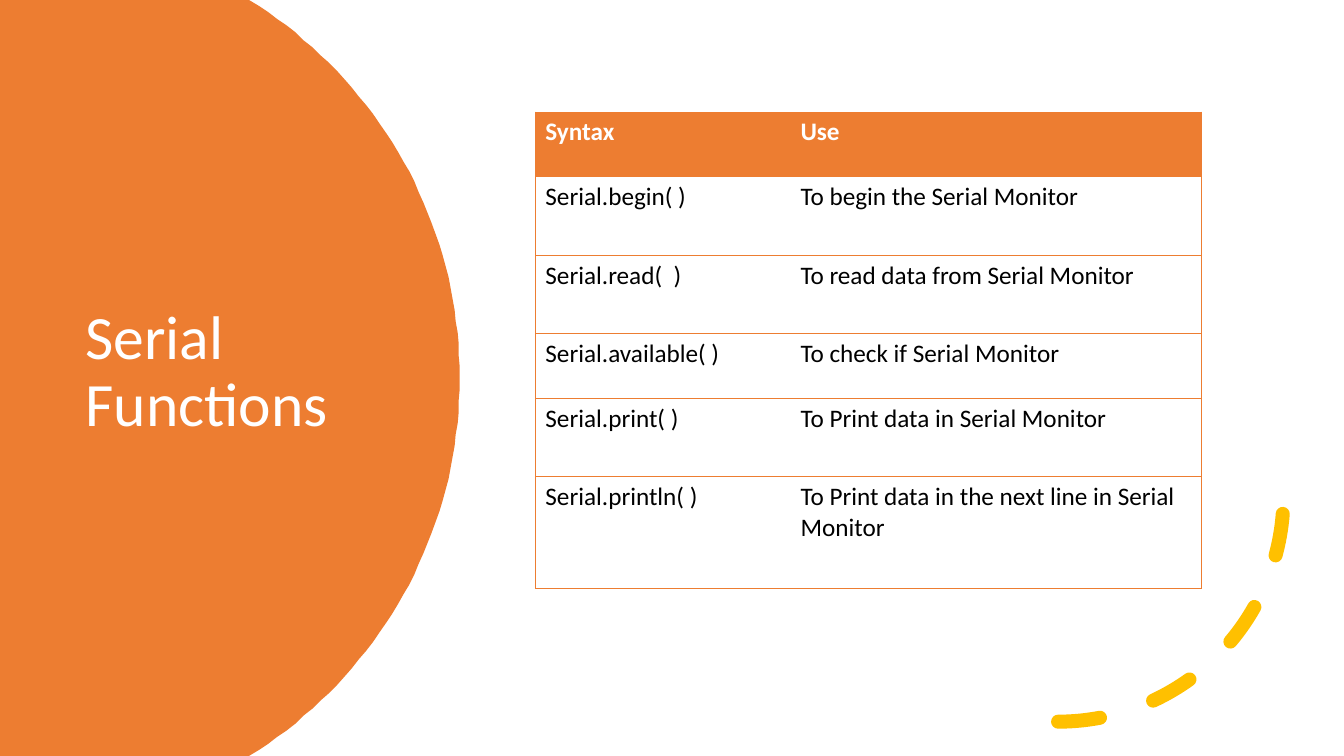
from math import asin, cos, sin

from lxml import etree
from pptx import Presentation
from pptx.dml.color import RGBColor
from pptx.enum.dml import MSO_LINE
from pptx.enum.shapes import MSO_SHAPE
from pptx.enum.text import MSO_ANCHOR
from pptx.oxml.ns import qn
from pptx.util import Pt

PX = 9144  # 100 px to the inch
ARC = MSO_SHAPE.ARC
DASH = MSO_LINE.DASH
MIDDLE = MSO_ANCHOR.MIDDLE
ORANGE, YELLOW, WHITE, BLACK = "ED7D31", "FFC000", "FFFFFF", "000000"
PLAIN_TABLE_STYLE = "{2D5ABB26-0587-4C30-8999-92F81FD0307C}"


def color(hex_code):
    return RGBColor.from_string(hex_code)


def write_text(text_frame, text, hex_code, **font_format):
    paragraph = text_frame.paragraphs[0]
    run = paragraph.add_run()
    run.text = text
    run.font.color.rgb = color(hex_code)
    for name, value in {"name": "Calibri", **font_format}.items():
        setattr(run.font, name, value)
    return paragraph


presentation = Presentation()
presentation.slide_width = 1333 * PX
presentation.slide_height = 750 * PX
slide = presentation.slides.add_slide(presentation.slide_layouts[6])
shapes = slide.shapes

# Orange panel with a circular right edge
center_x, center_y, radius, steps = 15, 375, 441, 80
half_angle = asin(center_y / radius)
angles = [half_angle * (2 * step / steps - 1) for step in range(steps + 1)]
edge = [(center_x + radius * cos(angle), center_y + radius * sin(angle)) for angle in angles]
builder = shapes.build_freeform(0, 0, scale=PX)
builder.add_line_segments(edge + [(0, 750)], close=True)
panel = builder.convert_to_shape()
panel.shadow.inherit = False
panel.fill.solid()
panel.fill.fore_color.rgb = color(ORANGE)
panel.line.fill.background()

# Title
title = shapes.add_textbox(75 * PX, 126 * PX, 350 * PX, 488 * PX)
title.text_frame.word_wrap = True
title.text_frame.vertical_anchor = MIDDLE
title_paragraph = write_text(title.text_frame, "Serial Functions", WHITE, size=Pt(44))
title_paragraph.line_spacing = 0.9

# Dashed arc
arc = shapes.add_shape(ARC, 826 * PX, 269 * PX, 447 * PX, 447 * PX)
arc.shadow.inherit = False
arc.fill.background()
arc.line.color.rgb = color(YELLOW)
arc.line.width = Pt(10)
arc.line.dash_style = DASH
arc.line._get_or_add_ln().set("cap", "rnd")
arc._element.spPr.find(qn("a:xfrm")).set("flipV", "1")

# Table of functions
rows = [
    ("Syntax", "Use"),
    ("Serial.begin( )", "To begin the Serial Monitor"),
    ("Serial.read(  )", "To read data from Serial Monitor"),
    ("Serial.available( )", "To check if Serial Monitor"),
    ("Serial.print( )", "To Print data in Serial Monitor"),
    ("Serial.println( )", "To Print data in the next line in Serial Monitor"),
]
column_widths = [253, 408]
row_heights = [64, 78, 78, 64, 78, 111]
outer_sides = ["a:lnL", "a:lnR"]

frame = shapes.add_table(
    len(rows), len(column_widths), 531 * PX, 111 * PX,
    sum(column_widths) * PX, sum(row_heights) * PX,
)
table = frame.table
table.horz_banding = False
table._tbl.tblPr.find(qn("a:tableStyleId")).text = PLAIN_TABLE_STYLE
for column, width in zip(table.columns, column_widths):
    column.width = width * PX

for row_index, (texts, height) in enumerate(zip(rows, row_heights)):
    table.rows[row_index].height = height * PX
    is_header = row_index == 0
    for column_index, text in enumerate(texts):
        cell = table.cell(row_index, column_index)
        write_text(cell.text_frame, text, WHITE if is_header else BLACK,
                   size=Pt(18), bold=is_header)
        properties = cell._tc.get_or_add_tcPr()
        for side in (outer_sides[column_index], "a:lnT", "a:lnB"):
            border = etree.SubElement(properties, qn(side), w=str(Pt(0.5)))
            line_fill = etree.SubElement(border, qn("a:solidFill"))
            etree.SubElement(line_fill, qn("a:srgbClr"), val=ORANGE)
        if is_header:
            cell.fill.solid()
            cell.fill.fore_color.rgb = color(ORANGE)
        else:
            cell.fill.background()

presentation.save("out.pptx")
